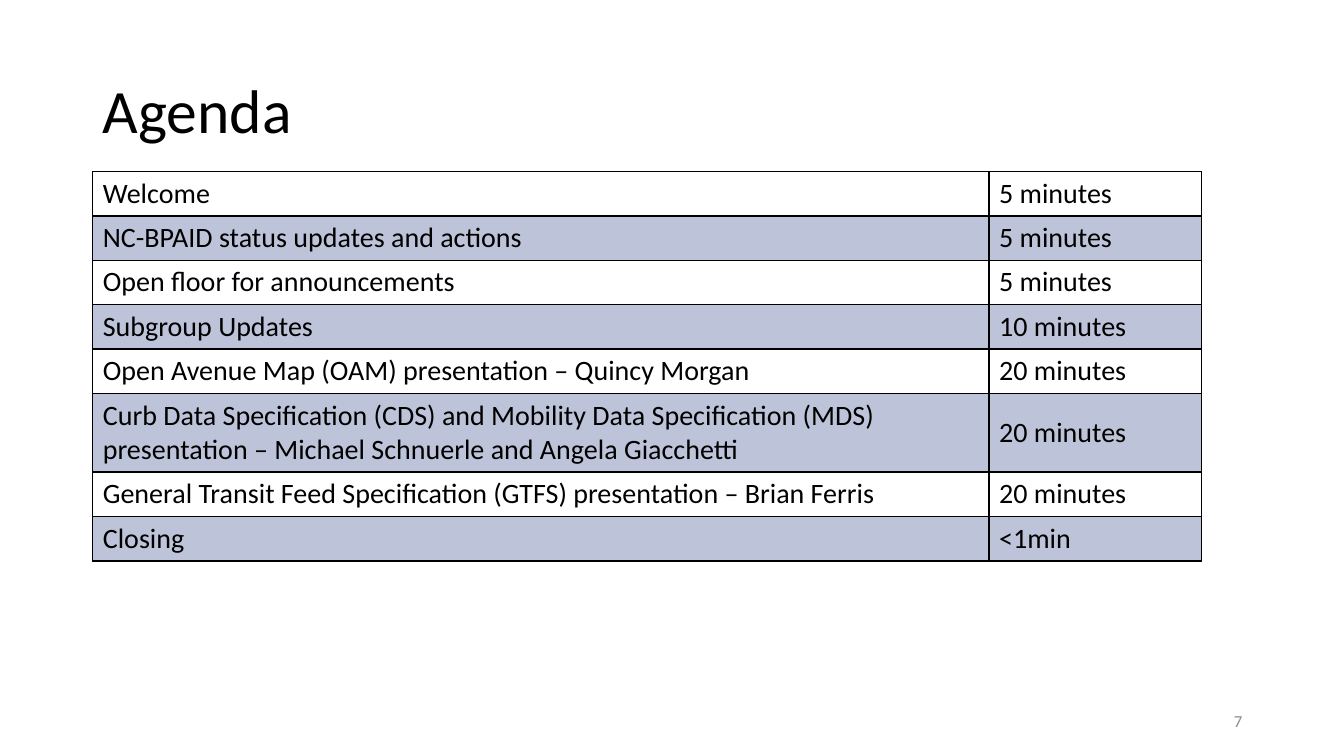
"""Build the agenda slide with its timetable."""
import pptx
import pptx.dml.color
import pptx.enum.text
import pptx.oxml
import pptx.oxml.ns
import pptx.util

Inches = pptx.util.Inches
Align = pptx.enum.text.PP_ALIGN
Anchor = pptx.enum.text.MSO_ANCHOR

COLORS = {"text": "000000", "rule": "000000", "plain": "FFFFFF", "band": "BDC4D9", "number": "8C8C8C"}
TITLE = "Agenda"
PAGE_NUMBER = "7"
AGENDA = [
    ("Welcome", "5 minutes"),
    ("NC-BPAID status updates and actions", "5 minutes"),
    ("Open floor for announcements", "5 minutes"),
    ("Subgroup Updates", "10 minutes"),
    ("Open Avenue Map (OAM) presentation – Quincy Morgan", "20 minutes"),
    ("Curb Data Specification (CDS) and Mobility Data Specification (MDS) presentation"
     " – Michael Schnuerle and Angela Giacchetti", "20 minutes"),
    ("General Transit Feed Specification (GTFS) presentation – Brian Ferris", "20 minutes"),
    ("Closing", "<1min"),
]
COLUMN_WIDTHS = (8.89, 2.11)
LINE_HEIGHT, CELL_PADDING = 0.34, 0.1
WRAP_LENGTH = 80
TABLE_LEFT, TABLE_TOP = 0.92, 1.7


def rgb(name):
    """Return the named colour."""
    return pptx.dml.color.RGBColor.from_string(COLORS[name])


def write(frame, text, size, color="text", anchor=Anchor.MIDDLE, **layout):
    """Put one formatted paragraph in a text frame."""
    frame.word_wrap = True
    frame.vertical_anchor = anchor
    para = frame.paragraphs[0]
    for name, value in layout.items():
        setattr(para, name, value)
    span = para.add_run()
    span.text = text
    for name, value in {"name": "Calibri", "size": pptx.util.Pt(size)}.items():
        setattr(span.font, name, value)
    span.font.color.rgb = rgb(color)


def rule_cell(cell, widths):
    """Draw the cell borders, given each side's width in points."""
    properties = cell._tc.get_or_add_tcPr()
    for position, (side, width) in enumerate(widths.items()):
        line = pptx.oxml.parse_xml(
            f'<a:ln{side} {pptx.oxml.ns.nsdecls("a")} w="{pptx.util.Pt(width)}">'
            f'<a:solidFill><a:srgbClr val="{COLORS["rule"]}"/></a:solidFill></a:ln{side}>')
        properties.insert(position, line)


def add_agenda(page):
    """Add the banded agenda table."""
    heights = [LINE_HEIGHT * (2 if len(topic) > WRAP_LENGTH else 1) + CELL_PADDING
               for topic, _ in AGENDA]
    frame = page.shapes.add_table(
        len(AGENDA), len(COLUMN_WIDTHS), Inches(TABLE_LEFT), Inches(TABLE_TOP),
        Inches(sum(COLUMN_WIDTHS)), Inches(sum(heights)))
    table = frame.table
    for column, width in zip(table.columns, COLUMN_WIDTHS):
        column.width = Inches(width)
    for index, (row, height, entry) in enumerate(zip(table.rows, heights, AGENDA)):
        row.height = Inches(height)
        for cell, text in zip(row.cells, entry):
            cell.fill.solid()
            cell.fill.fore_color.rgb = rgb("band" if index % 2 else "plain")
            cell.vertical_anchor = Anchor.MIDDLE
            write(cell.text_frame, text, 20, anchor=None)
            rule_cell(cell, {"L": 1, "R": 1, "T": 2 if index == 1 else 1, "B": 2 if index == 0 else 1})


def main():
    """Build and save the deck."""
    deck = pptx.Presentation()
    deck.slide_width, deck.slide_height = Inches(13.33), Inches(7.5)
    page = deck.slides.add_slide(deck.slide_layouts[5])

    title = page.shapes.title
    place = {"left": 0.92, "top": 0.4, "width": 11.5, "height": 1.45}
    for name, value in place.items():
        setattr(title, name, Inches(value))
    title.text_frame.auto_size = pptx.enum.text.MSO_AUTO_SIZE.NONE
    write(title.text_frame, TITLE, 44, alignment=Align.LEFT, line_spacing=0.9)

    add_agenda(page)

    box = page.shapes.add_textbox(Inches(9.42), Inches(6.95), Inches(3), Inches(0.4))
    write(box.text_frame, PAGE_NUMBER, 12, "number", alignment=Align.RIGHT)
    deck.save("out.pptx")


if __name__ == "__main__":
    main()
